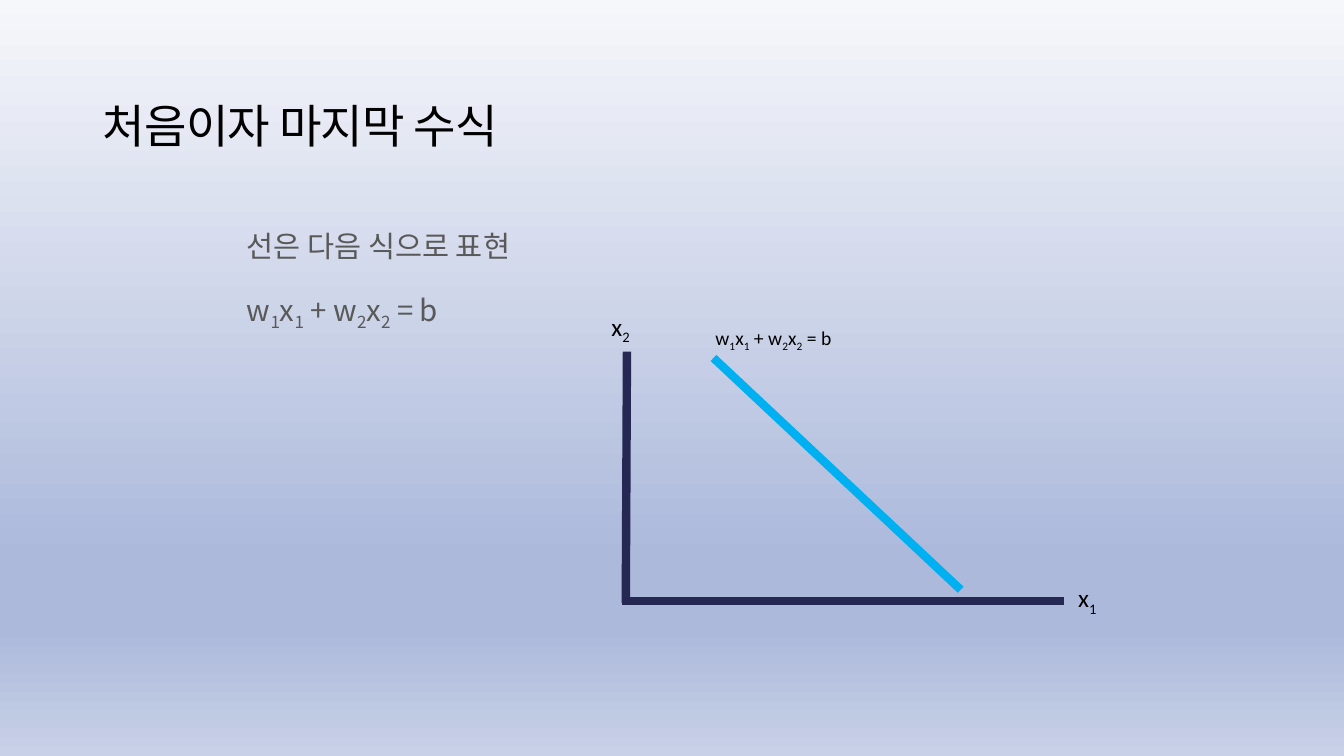
from itertools import groupby

from lxml.etree import SubElement
from pptx import Presentation
from pptx.dml.color import RGBColor
from pptx.enum.shapes import MSO_CONNECTOR
from pptx.enum.text import MSO_ANCHOR, MSO_AUTO_SIZE, PP_ALIGN
from pptx.oxml.ns import qn
from pptx.util import Cm, Pt

COLOURS = {
    "text": "000000",
    "body": "595959",
    "axis": "242852",
    "boundary": "00B0F0",
    "sky": "F6F7FB",
    "haze": "ACB9DB",
    "ground": "C8D1E7",
}
LATIN, KOREAN = "Calibri", "Noto Sans CJK KR"
EQUATION = "w1x1 + w2x2 = b"


def colour(name):
    return RGBColor.from_string(COLOURS[name])


class SlideBuilder:
    def __init__(self, deck):
        self.page = deck.slides.add_slide(deck.slide_layouts[1])

    def background(self, stops):
        """Fill the page from top to bottom with (percent, colour name) stops."""
        fill = self.page.background.fill
        fill.gradient()
        fill.gradient_angle = 270
        stop_list = self.page._element.find(".//" + qn("a:gsLst"))
        for old_stop in list(stop_list):
            stop_list.remove(old_stop)
        for percent, name in stops:
            stop = SubElement(stop_list, qn("a:gs"), pos=str(percent * 1000))
            SubElement(stop, qn("a:srgbClr"), val=COLOURS[name])

    def place(self, box, left, top, width, height):
        box.left, box.top = Cm(left), Cm(top)
        box.width, box.height = Cm(width), Cm(height)

    def add_text(self, para, text, size, font=LATIN, ink="text"):
        """Add text to a paragraph with every digit as a subscript."""
        for is_subscript, letters in groupby(text, str.isdigit):
            span = para.add_run()
            span.text = "".join(letters)
            properties = span._r.get_or_add_rPr()
            if is_subscript:
                properties.set("baseline", "-25000")
            SubElement(properties, qn("a:ea"), typeface=KOREAN)
        para.font.size = Pt(size)
        para.font.name = font
        para.font.color.rgb = colour(ink)

    def title(self, text, *area):
        box = self.page.shapes.title
        self.place(box, *area)
        frame = box.text_frame
        frame.auto_size = MSO_AUTO_SIZE.NONE
        frame.vertical_anchor = MSO_ANCHOR.MIDDLE
        para = frame.paragraphs[0]
        para.alignment = PP_ALIGN.LEFT
        para.line_spacing = 0.9
        self.add_text(para, text, 33)
        para.runs[0]._r.get_or_add_rPr().set("spc", "-60")

    def body(self, lines, *area):
        box = self.page.placeholders[1]
        self.place(box, *area)
        frame = box.text_frame
        frame.auto_size = MSO_AUTO_SIZE.NONE
        frame.margin_top = frame.margin_bottom = Cm(0.25)
        for index, text in enumerate(lines):
            para = frame.add_paragraph() if index else frame.paragraphs[0]
            para.line_spacing = 0.9
            para.space_before = Pt(20 if index else 0)
            properties = para._p.get_or_add_pPr()
            properties.set("marL", str(Cm(0.48)))
            properties.set("indent", str(-Cm(0.48)))
            SubElement(properties, qn("a:buNone"))
            self.add_text(para, text, 21, KOREAN, "body")

    def label(self, text, size, margin, *area):
        box = self.page.shapes.add_textbox(*map(Cm, area))
        frame = box.text_frame
        frame.word_wrap = True
        frame.margin_top = frame.margin_bottom = Cm(margin)
        self.add_text(frame.paragraphs[0], text, size)

    def line(self, name, *ends):
        connector = self.page.shapes.add_connector(
            MSO_CONNECTOR.STRAIGHT, *map(Cm, ends))
        connector.line.color.rgb = colour(name)
        connector.line.width = Pt(6)
        SubElement(connector._element.spPr, qn("a:effectLst"))


def main():
    deck = Presentation()
    deck.slide_width, deck.slide_height = Cm(33.87), Cm(19.05)
    builder = SlideBuilder(deck)
    builder.background([(0, "sky"), (74, "haze"), (83, "haze"), (100, "ground")])
    builder.title("처음이자 마지막 수식", 2.34, 2.34, 29.21, 1.8)
    builder.body(["선은 다음 식으로 표현", EQUATION], 5.97, 5.61, 20.83, 2.08)

    builder.line("axis", 15.67, 15.14, 26.82, 15.14)
    builder.line("boundary", 17.98, 9.02, 24.21, 14.86)
    builder.line("axis", 15.8, 8.86, 15.77, 15.19)

    builder.label("x2", 18, 0.25, 15.16, 7.59, 2.08, 0.99)
    builder.label(EQUATION, 14, 0.13, 17.78, 8.08, 5.05, 1.45)
    builder.label("x1", 18, 0.25, 26.92, 14.43, 2.08, 0.99)
    deck.save("out.pptx")


if __name__ == "__main__":
    main()
